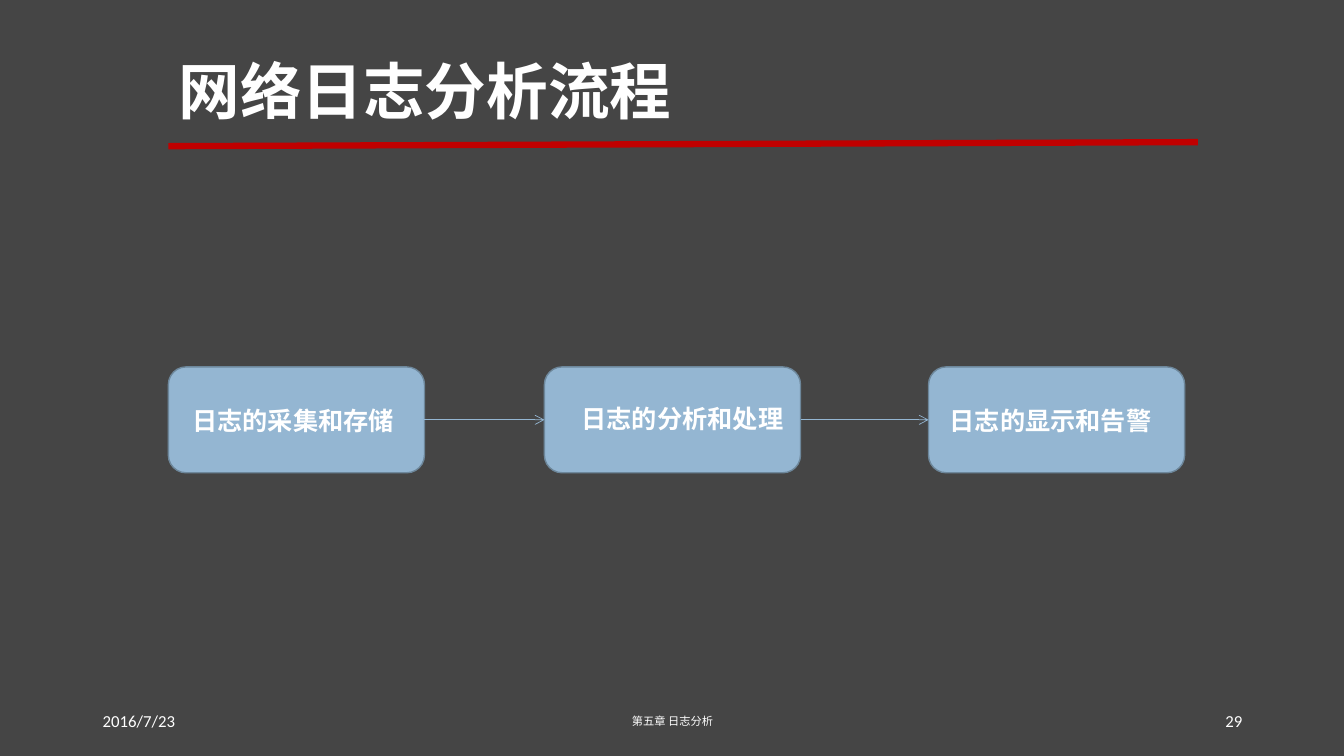
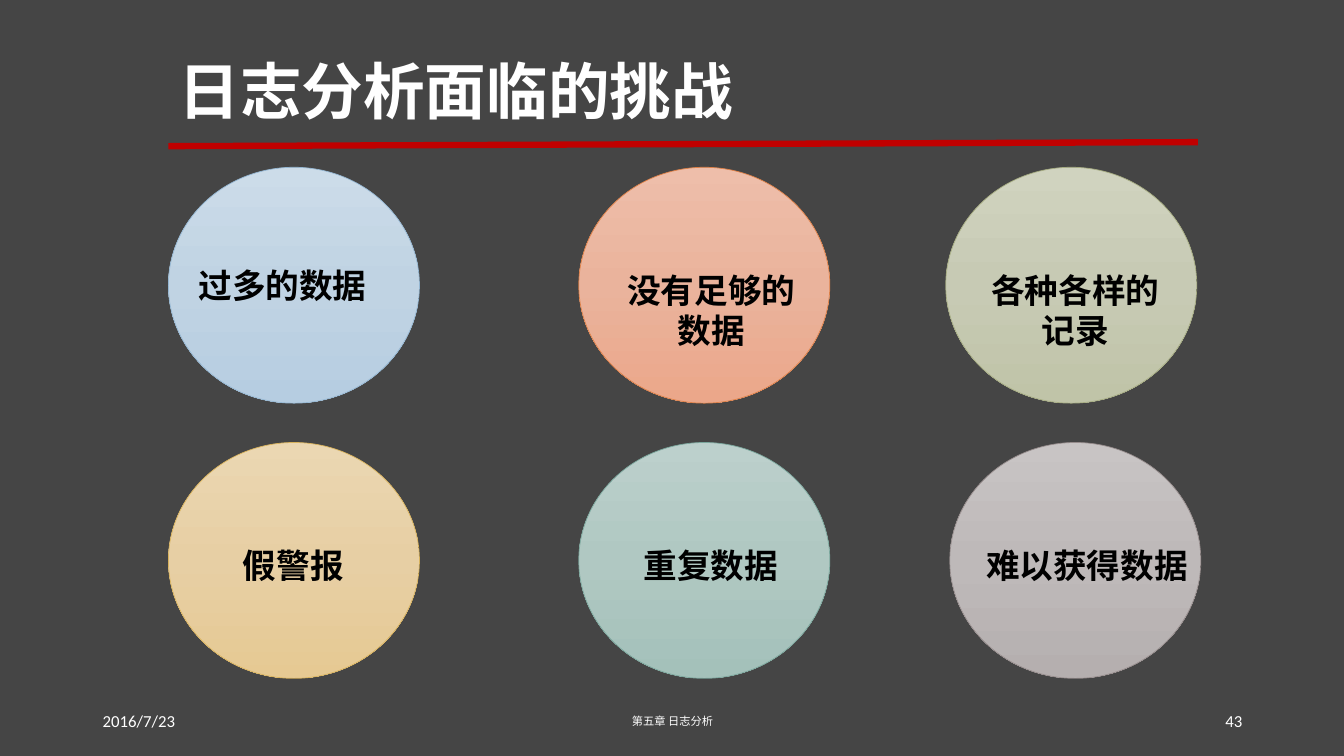
from copy import deepcopy

from pptx import Presentation
from pptx import util as u
from pptx.dml.color import RGBColor
from pptx.enum import dml, shapes, text
from pptx.oxml.ns import qn
from pptx.oxml.xmlchemy import OxmlElement

LATIN, CJK = "Calibri", "Noto Sans CJK SC"
COLORS = {
    "background": "454545", "rule": "C00000", "light": "FFFFFF", "dark": "000000",
    "step": "94B6D2", "step_edge": "6D879B",
}
LEFT, CENTER, RIGHT = text.PP_ALIGN.LEFT, text.PP_ALIGN.CENTER, text.PP_ALIGN.RIGHT

# Process steps: box left, label, label frame
STEP_TOP, STEP_WIDTH, STEP_HEIGHT = 3.64, 2.54, 1.05
STEPS = [
    (1.67, "日志的采集和存储", (1.81, 3.97, 2.26, 0.4)),
    (5.4, "日志的分析和处理", (5.67, 3.95, 2.27, 0.4)),
    (9.21, "日志的显示和告警", (9.32, 3.97, 2.34, 0.4)),
]

# Challenges: circle left and top, gradient, edge, label, label frame, alignment
CIRCLE_WIDTH, CIRCLE_HEIGHT = 2.49, 2.34
ROW_TOPS = (1.66, 4.39)
CHALLENGES = [
    (1.67, ROW_TOPS[0], ("CCDCE9", "C0D3E3", "B6CDE1"), "94B6D2",
     "过多的数据", (1.87, 2.58, 2.09, 0.5), LEFT),
    (5.74, ROW_TOPS[0], ("EEBEAA", "EAB39C", "EBA78A"), "DD8047",
     "没有足够的数据", (6.06, 2.63, 1.99, 0.9), CENTER),
    (9.38, ROW_TOPS[0], ("D0D3BF", "C7CAB4", "C0C4A8"), "A5AB81",
     "各种各样的记录", (9.57, 2.63, 2.19, 0.9), CENTER),
    (1.67, ROW_TOPS[1], ("EBD7B2", "E7CFA4", "E6C993"), "D8B25C",
     "假警报", (1.79, 5.36, 2.24, 0.5), CENTER),
    (5.74, ROW_TOPS[1], ("BCD0CC", "B0C8C2", "A4C1BA"), "7BA79D",
     "重复数据", (5.93, 5.36, 2.24, 0.5), CENTER),
    (9.42, ROW_TOPS[1], ("C8C4C4", "BEB9B9", "B5AFAF"), "968C8C",
     "难以获得数据", (9.65, 5.36, 2.26, 0.5), CENTER),
]


def inches(*lengths):
    return [u.Inches(length) for length in lengths]


def rgb(value):
    return RGBColor.from_string(value)


def add_span(para, words, size, color, bold=False, font=LATIN):
    span = para.add_run()
    span.text = words
    span.font.size, span.font.bold, span.font.name = u.Pt(size), bold, font
    span.font.color.rgb = rgb(color)
    east_asian = OxmlElement("a:ea")
    east_asian.set("typeface", CJK)
    span.font._element.find(qn("a:latin")).addnext(east_asian)


def add_label(page, frame, words, size, color, align=LEFT,
              anchor=text.MSO_ANCHOR.TOP, **style):
    box = page.shapes.add_textbox(*inches(*frame))
    box.text_frame.word_wrap = True
    box.text_frame.vertical_anchor = anchor
    para = box.text_frame.paragraphs[0]
    para.alignment = align
    add_span(para, words, size, color, **style)


def add_outlined(page, kind, frame, edge, edge_width):
    shape = page.shapes.add_shape(kind, *inches(*frame))
    shape.shadow.inherit = False
    shape.line.color.rgb = rgb(edge)
    shape.line.width = u.Pt(edge_width)
    return shape


def add_line(page, start, end, color, width):
    line = page.shapes.add_connector(
        shapes.MSO_CONNECTOR.STRAIGHT, *inches(*start, *end))
    line.line.color.rgb = rgb(color)
    line.line.width = u.Pt(width)
    line.element.spPr.append(OxmlElement("a:effectLst"))
    return line


def add_arrow(page, source, target):
    middle = STEP_TOP + STEP_HEIGHT / 2
    arrow = add_line(page, (0, middle), (1, middle), COLORS["step"], 0.5)
    arrow.begin_connect(source, 3)
    arrow.end_connect(target, 1)
    tail = OxmlElement("a:tailEnd")
    tail.set("type", "arrow")
    arrow.line._get_or_add_ln().append(tail)


def fill_gradient(shape, colors):
    """Spread the colours evenly from top to bottom."""
    shape.fill.gradient()
    shape.fill.gradient_angle = 270
    stop_list = shape.element.spPr.find(".//" + qn("a:gsLst"))
    while len(stop_list) < len(colors):
        stop_list.append(deepcopy(stop_list[0]))
    for index, (stop, color) in enumerate(zip(shape.fill.gradient_stops, colors)):
        stop.position = index / (len(colors) - 1)
        stop.color.rgb = rgb(color)


def style_layout(deck):
    """Set background, title frame and red rule for every page."""
    background = deck.slide_master.background.fill
    background.solid()
    background.fore_color.rgb = rgb(COLORS["background"])
    layout = deck.slide_layouts.get_by_name("Title Only")
    title = next(holder for holder in layout.placeholders
                 if holder.placeholder_format.idx == 0)
    title.left, title.top, title.width, title.height = inches(1.67, 0.21, 10.21, 1.45)
    title.text_frame.vertical_anchor = text.MSO_ANCHOR.MIDDLE
    return layout


def add_page(deck, layout, heading, number):
    page = deck.slides.add_slide(layout)
    # Title and rule
    add_line(page, (1.67, 1.45), (11.88, 1.41), COLORS["rule"], 4.5)
    para = page.shapes.title.text_frame.paragraphs[0]
    para.alignment, para.line_spacing = LEFT, 0.9
    add_span(para, heading, 44, COLORS["light"], bold=True, font=CJK)
    # Footer
    for left, width, words, size, align, font in (
            (0.92, 3, "2016/7/23", 12, LEFT, LATIN),
            (4.42, 4.5, "第五章 日志分析", 8, CENTER, CJK),
            (9.42, 3, number, 12, RIGHT, LATIN)):
        add_label(page, (left, 6.95, width, 0.4), words, size, COLORS["light"],
                  align, text.MSO_ANCHOR.MIDDLE, font=font)
    return page


def add_process(page):
    boxes = []
    for left, words, frame in STEPS:
        box = add_outlined(page, shapes.MSO_SHAPE.ROUNDED_RECTANGLE,
                           (left, STEP_TOP, STEP_WIDTH, STEP_HEIGHT),
                           COLORS["step_edge"], 1)
        box.fill.solid()
        box.fill.fore_color.rgb = rgb(COLORS["step"])
        add_label(page, frame, words, 18, COLORS["light"], bold=True)
        boxes.append(box)
    for source, target in zip(boxes, boxes[1:]):
        add_arrow(page, source, target)


def add_challenges(page):
    for left, top, gradient, edge, words, frame, align in CHALLENGES:
        circle = add_outlined(page, shapes.MSO_SHAPE.OVAL,
                              (left, top, CIRCLE_WIDTH, CIRCLE_HEIGHT), edge, 0.5)
        fill_gradient(circle, gradient)
        add_label(page, frame, words, 24, COLORS["dark"], align, bold=True)


def main():
    deck = Presentation()
    deck.slide_width, deck.slide_height = inches(13.33, 7.5)
    layout = style_layout(deck)
    add_process(add_page(deck, layout, "网络日志分析流程", "29"))
    add_challenges(add_page(deck, layout, "日志分析面临的挑战", "43"))
    deck.save("out.pptx")


if __name__ == "__main__":
    main()
